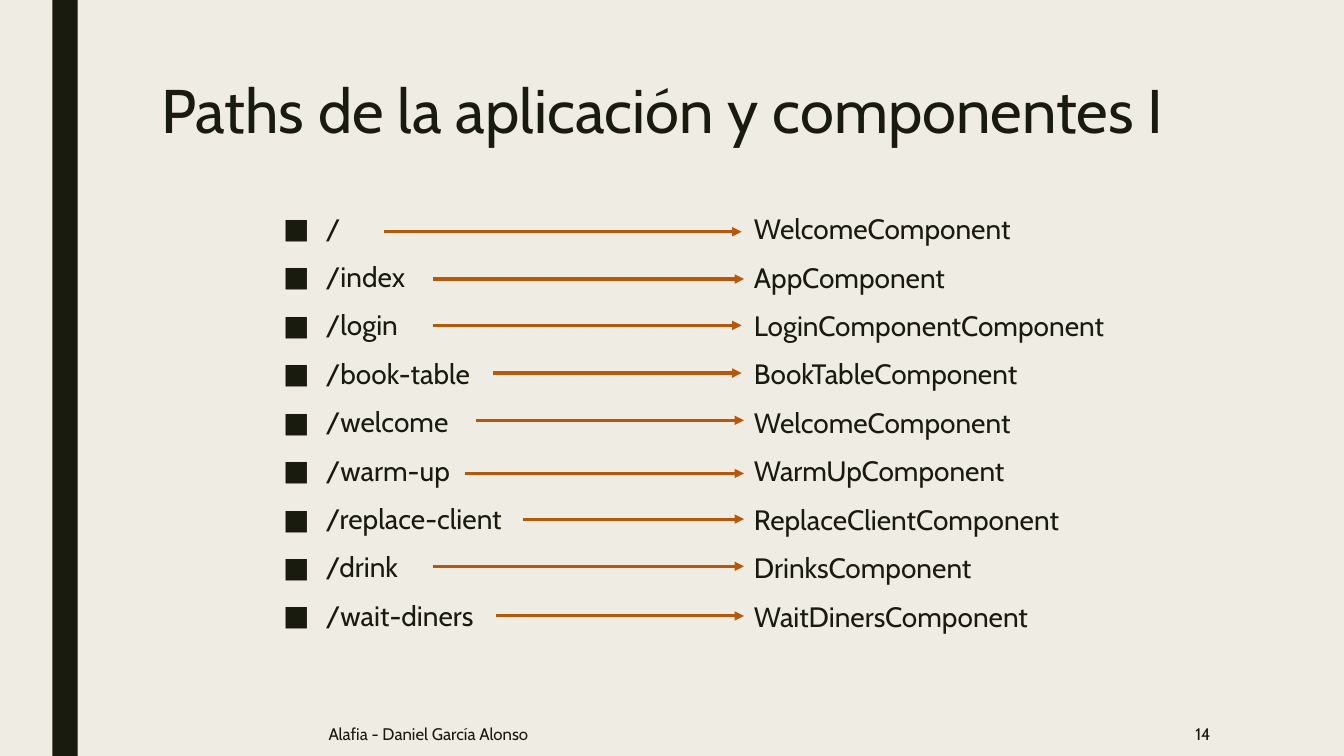
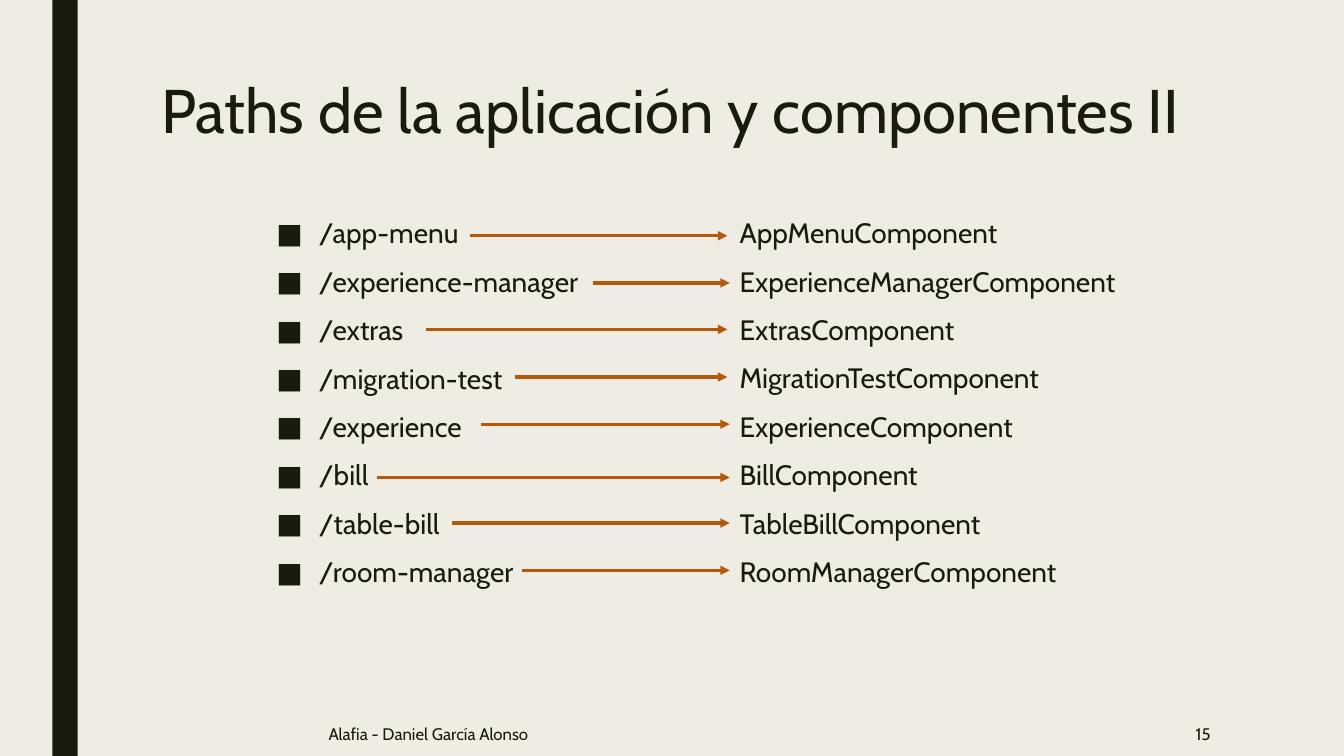
from dataclasses import dataclass
from typing import Sequence

from lxml.etree import SubElement
from pptx import Presentation
from pptx.dml.color import RGBColor
from pptx.enum.shapes import MSO_CONNECTOR, MSO_SHAPE
from pptx.enum.text import MSO_ANCHOR as Anchor, MSO_AUTO_SIZE, PP_ALIGN as Align
from pptx.oxml.ns import qn
from pptx.presentation import Presentation as Deck
from pptx.shapes.base import BaseShape
from pptx.slide import Slide
from pptx.util import Cm, Pt

PAPER = RGBColor(0xEF, 0xED, 0xE3)
INK = RGBColor(0x19, 0x1B, 0x0E)
RUST = RGBColor(0xB5, 0x58, 0x0B)
FONT = "Cabin"
FOOTER = "Alafia - Daniel García Alonso"
FIRST_NUMBER = 14
SLIDE_WIDTH, SLIDE_HEIGHT = 33.87, 19.05
BULLET_INDENT = Cm(1.07)
LIST_FORMAT = {"size": 20, "line_spacing": 0.94, "before": 10, "after": 2}


@dataclass(frozen=True)
class Box:
    """A rectangle in centimetres."""

    left: float
    top: float
    width: float
    height: float

    def lengths(self) -> tuple[Cm, Cm, Cm, Cm]:
        """Return left, top, width and height as lengths."""
        return Cm(self.left), Cm(self.top), Cm(self.width), Cm(self.height)


@dataclass(frozen=True)
class ArrowRow:
    """Drop below the first arrow and gap before the component column."""

    drop: float
    gap: float = 0


@dataclass(frozen=True)
class Route:
    """A path, its component and the left end of the arrow between them."""

    path_text: str
    component: str
    arrow_start: float


@dataclass(frozen=True)
class RouteSlide:
    """The content of one slide and the places of its two columns."""

    title: str
    paths_box: Box
    components_box: Box
    first_arrow: float
    routes: Sequence[Route]


BAR_BOX = Box(1.32, 0, 0.64, SLIDE_HEIGHT)
TITLE_BOX = Box(3.81, 1.9, 26.67, 4.11)
FOOTER_BOX = Box(8.03, 17.93, 17.45, 1.12)
NUMBER_BOX = Box(26.31, 17.93, 4.45, 1.12)

ARROW_ROWS = (
    ArrowRow(0, 0.06),
    ArrowRow(1.19),
    ArrowRow(2.36, 0.06),
    ArrowRow(3.56, 0.06),
    ArrowRow(4.75),
    ArrowRow(6.09),
    ArrowRow(7.24),
    ArrowRow(8.43),
    ArrowRow(9.68),
)

ROUTE_SLIDES = (
    RouteSlide(
        "Paths de la aplicación y componentes I",
        Box(6.88, 5.26, 8.23, 13.28),
        Box(18.75, 5.28, 11.3, 13.28),
        5.84,
        (
            Route("/", "WelcomeComponent", 9.68),
            Route("/index", "AppComponent", 10.9),
            Route("/login", "LoginComponentComponent", 10.9),
            Route("/book-table", "BookTableComponent", 12.42),
            Route("/welcome", "WelcomeComponent", 11.99),
            Route("/warm-up", "WarmUpComponent", 11.73),
            Route("/replace-client", "ReplaceClientComponent", 13.18),
            Route("/drink", "DrinksComponent", 10.9),
            Route("/wait-diners", "WaitDinersComponent", 12.5),
        ),
    ),
    RouteSlide(
        "Paths de la aplicación y componentes II",
        Box(6.71, 5.38, 8.23, 13.28),
        Box(18.39, 5.38, 11.3, 13.28),
        5.94,
        (
            Route("/app-menu", "AppMenuComponent", 11.84),
            Route("/experience-manager", "ExperienceManagerComponent", 14.94),
            Route("/extras", "ExtrasComponent", 10.74),
            Route("/migration-test", "MigrationTestComponent", 12.98),
            Route("/experience", "ExperienceComponent", 12.12),
            Route("/bill", "BillComponent", 9.5),
            Route("/table-bill", "TableBillComponent", 11.38),
            Route("/room-manager", "RoomManagerComponent", 13.16),
        ),
    ),
)


def write_text(
    shape: BaseShape,
    lines: Sequence[str],
    *,
    size: float,
    align: Align = Align.LEFT,
    anchor: Anchor = Anchor.TOP,
    line_spacing: float = 1.0,
    before: float = 0,
    after: float = 0,
    bullet: str = "",
) -> None:
    """Write one formatted paragraph per line into a shape."""
    frame = shape.text_frame
    frame.text = "\n".join(lines)
    frame.word_wrap = True
    frame.auto_size = MSO_AUTO_SIZE.NONE
    frame.vertical_anchor = anchor
    for paragraph in frame.paragraphs:
        paragraph.alignment = align
        paragraph.line_spacing = line_spacing
        paragraph.space_before = Pt(before)
        paragraph.space_after = Pt(after)
        for run in paragraph.runs:
            run.font.name = FONT
            run.font.size = Pt(size)
            run.font.color.rgb = INK
        if bullet:
            properties = paragraph._p.get_or_add_pPr()
            properties.set("marL", str(BULLET_INDENT))
            properties.set("indent", str(-BULLET_INDENT))
            SubElement(properties, qn("a:buFont"), typeface=FONT)
            SubElement(properties, qn("a:buChar"), char=bullet)


def place(shape: BaseShape, box: Box) -> BaseShape:
    """Move a shape into a box and return it."""
    shape.left, shape.top, shape.width, shape.height = box.lengths()
    return shape


def add_text_box(slide: Slide, box: Box) -> BaseShape:
    """Add an empty text box."""
    return slide.shapes.add_textbox(*box.lengths())


def add_arrow(slide: Slide, start: float, end: float, height: float) -> None:
    """Draw a horizontal arrow pointing right."""
    connector = slide.shapes.add_connector(
        MSO_CONNECTOR.STRAIGHT, Cm(start), Cm(height), Cm(end), Cm(height)
    )
    connector.line.color.rgb = RUST
    connector.line.width = Pt(2.25)
    SubElement(connector.get_or_add_ln(), qn("a:tailEnd"), type="triangle")
    SubElement(connector.element.spPr, qn("a:effectLst"))


def add_route_slide(presentation: Deck, content: RouteSlide, number: int) -> Slide:
    """Add a slide that links each path to its component."""
    slide = presentation.slides.add_slide(presentation.slide_layouts[1])
    title = place(slide.shapes.title, TITLE_BOX)
    write_text(title, [content.title], size=44, line_spacing=0.89)

    paths = place(slide.placeholders[1], content.paths_box)
    path_lines = [route.path_text for route in content.routes]
    write_text(paths, path_lines, bullet="■", **LIST_FORMAT)
    components = add_text_box(slide, content.components_box)
    write_text(components, [route.component for route in content.routes], **LIST_FORMAT)

    for route, row in zip(content.routes, ARROW_ROWS):
        end = content.components_box.left - row.gap
        add_arrow(slide, route.arrow_start, end, content.first_arrow + row.drop)

    footer = add_text_box(slide, FOOTER_BOX)
    write_text(footer, [FOOTER], size=12, anchor=Anchor.MIDDLE)
    page = add_text_box(slide, NUMBER_BOX)
    write_text(page, [str(number)], size=12, align=Align.RIGHT, anchor=Anchor.MIDDLE)
    return slide


def dress_master(presentation: Deck, slide: Slide) -> None:
    """Give the master its background and move a side bar into it."""
    master = presentation.slide_master
    master.background.fill.solid()
    master.background.fill.fore_color.rgb = PAPER
    bar = slide.shapes.add_shape(MSO_SHAPE.RECTANGLE, *BAR_BOX.lengths())
    bar.shadow.inherit = False
    bar.fill.solid()
    bar.fill.fore_color.rgb = INK
    bar.line.fill.background()
    bar.element.nvSpPr.cNvPr.set("id", "100")
    master.element.cSld.spTree.insert(2, bar.element)


def main() -> None:
    """Build and save the presentation."""
    presentation = Presentation()
    presentation.slide_width = Cm(SLIDE_WIDTH)
    presentation.slide_height = Cm(SLIDE_HEIGHT)
    slides = [
        add_route_slide(presentation, content, number)
        for number, content in enumerate(ROUTE_SLIDES, FIRST_NUMBER)
    ]
    dress_master(presentation, slides[0])
    presentation.save("out.pptx")


if __name__ == "__main__":
    main()
